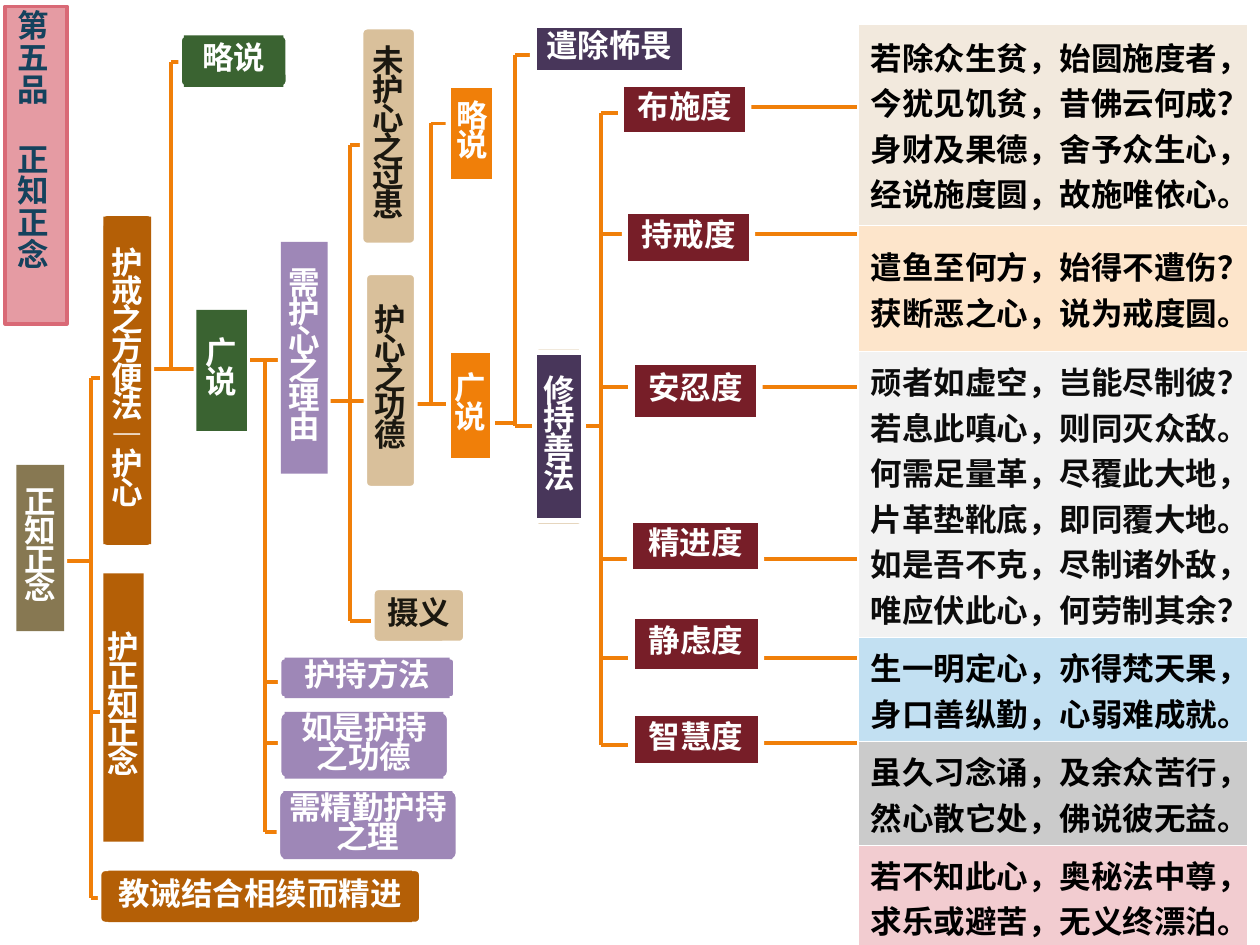
from dataclasses import dataclass
from lxml.etree import SubElement
from pptx import Presentation
from pptx.dml.color import RGBColor
from pptx.enum.shapes import MSO_CONNECTOR, MSO_SHAPE
from pptx.enum.text import MSO_ANCHOR, MSO_AUTO_SIZE, PP_ALIGN
from pptx.oxml.ns import qn
from pptx.util import Inches, Pt


@dataclass(frozen=True)
class Theme:
    font: str = "Noto Sans CJK SC"
    size: int = 18
    white: str = "FFFFFF"
    black: str = "000000"
    ink: str = "1B1810"
    branch: str = "F07F09"
    olive: str = "877852"
    brown: str = "B45F06"
    green: str = "3A6331"
    purple: str = "9E87B7"
    sand: str = "D9C09B"
    orange: str = "F07F09"
    violet: str = "48365A"
    maroon: str = "771E28"
    title_fill: str = "E59BA3"
    title_line: str = "D96976"
    title_ink: str = "14425D"
    branch_width: float = 2.25
    edge_width: float = 2
    frame_width: float = 3
    title_spacing: float = 0.84
    node_spacing: float = 0.76


@dataclass(frozen=True)
class Box:
    left: float
    top: float
    width: float
    height: float

    def inner(self, left, top, width, height):
        return Box(self.left + left, self.top + top, width, height)

    def pad(self, x, y):
        return self.inner(x, y, self.width - 2 * x, self.height - 2 * y)

    def emu(self):
        return [columns(v) for v in (self.left, self.top, self.width, self.height)]


THEME = Theme()
COLUMN = 0.1
FRAMED = (THEME.orange, THEME.violet, THEME.maroon)


def columns(count):
    return Inches(round(count * COLUMN, 3))


def rgb(value):
    return RGBColor.from_string(value)


def style(paragraph, color, spacing=None):
    font = paragraph.font
    font.name, font.size, font.bold = THEME.font, Pt(THEME.size), True
    font.color.rgb = rgb(color)
    latin = paragraph._p.pPr.find(qn("a:defRPr")).find(qn("a:latin"))
    east_asian = latin.makeelement(qn("a:ea"), {"typeface": THEME.font})
    latin.addnext(east_asian)
    if spacing:
        paragraph.line_spacing = spacing


def paint(shape, fill, edge=None, width=0):
    shape.fill.solid()
    shape.fill.fore_color.rgb = rgb(fill)
    if edge:
        shape.line.color.rgb = rgb(edge)
        shape.line.width = Pt(width)
    else:
        shape.line.fill.background()


def line(slide, box, x1, y1, x2, y2):
    ends = (box.left + x1, box.top + y1, box.left + x2, box.top + y2)
    connector = slide.shapes.add_connector(
        MSO_CONNECTOR.STRAIGHT, *[columns(v) for v in ends])
    connector.line.color.rgb = rgb(THEME.branch)
    connector.line.width = Pt(THEME.branch_width)
    SubElement(connector._element.spPr, qn("a:effectLst"))


def bracket(slide, box, spine, tip, levels, stem, stem_level):
    line(slide, box, spine, min(levels), spine, max(levels))
    line(slide, box, stem, stem_level, spine, stem_level)
    for level in levels:
        line(slide, box, spine, level, tip, level)


def node(slide, box, label, color, pad=(0.1, 0.1)):
    framed = color in FRAMED
    plate = slide.shapes.add_shape(MSO_SHAPE.ROUNDED_RECTANGLE, *box.emu())
    plate.adjustments[0] = 0.1
    plate.shadow.inherit = False
    paint(plate, THEME.sand if framed else color, THEME.white, THEME.edge_width)
    if color == THEME.sand:
        face = slide.shapes.add_textbox(*box.pad(*pad).emu())
    else:
        face = slide.shapes.add_shape(MSO_SHAPE.RECTANGLE, *box.pad(*pad).emu())
        face.shadow.inherit = False
        paint(face, color, THEME.white if framed else None, THEME.frame_width)
    frame = face.text_frame
    frame.word_wrap = True
    frame.vertical_anchor = MSO_ANCHOR.MIDDLE
    frame.margin_left = frame.margin_right = Inches(0.01)
    frame.margin_top = frame.margin_bottom = Inches(0.01)
    paragraph = frame.paragraphs[0]
    paragraph.text = label
    paragraph.alignment = PP_ALIGN.CENTER
    style(paragraph, THEME.ink if color == THEME.sand else THEME.white,
          THEME.node_spacing)


def chapter_title(slide, box):
    title = slide.shapes.title
    title.left, title.top, title.width, title.height = box.emu()
    paint(title, THEME.title_fill, THEME.title_line, THEME.edge_width)
    frame = title.text_frame
    frame.text = "第五品\n正知正念"
    frame.word_wrap = True
    frame.auto_size = MSO_AUTO_SIZE.NONE
    frame.vertical_anchor = MSO_ANCHOR.TOP
    for paragraph in frame.paragraphs:
        paragraph.alignment = PP_ALIGN.LEFT
        paragraph.space_before = Pt(0)
        style(paragraph, THEME.title_ink, THEME.title_spacing)
    frame.paragraphs[1].space_before = Pt(21.6)


def virtues(slide, box):
    levels = (9, 18.6, 30.75, 44.4, 52.2, 59.1)
    bracket(slide, box, 2.7, 5.9, levels, 0.2, 33.8)
    leads = ((11.1, 8.5, 40.8), (2.9, 18.6, 35), (2.9, 30.75, 28.8),
             (2.9, 44.4, 35.2), (2.9, 52.2, 25.5), (14.8, 59, 23.8))
    for start, level, end in leads:
        line(slide, box, start, level, end, level)
    labels = (("布施度", 4.2, 6.6, 10.3, 4.2), ("持戒度", 4.5, 16.7, 10.3, 4.3),
              ("安忍度", 5, 28.7, 10.4, 4.7), ("精进度", 4.9, 41.2, 10.6, 4.3),
              ("静虑度", 5, 48.8, 10.5, 4.6), ("智慧度", 5, 56.5, 10.5, 4.4))
    for label, *place in labels:
        node(slide, box.inner(*place), label, THEME.maroon, (0.15, 0.1))


def verses(slide, box):
    stanzas = (
        (16, "F2E9DD", THEME.black, "若除众生贫，始圆施度者，今犹见饥贫，昔佛云何成？"
                                    "身财及果德，舍予众生心，经说施度圆，故施唯依心。"),
        (10, "FDE5CB", THEME.black, "遣鱼至何方，始得不遭伤？获断恶之心，说为戒度圆。"),
        (22, "F2F2F2", "0C0C0C", "顽者如虚空，岂能尽制彼？若息此嗔心，则同灭众敌。"
                                 "何需足量革，尽覆此大地，片革垫靴底，即同覆大地。"
                                 "如是吾不克，尽制诸外敌，唯应伏此心，何劳制其余？"),
        (7, "C2E0F2", THEME.black, "生一明定心，亦得梵天果，身口善纵勤，心弱难成就。"),
        (7, "CBCBCB", THEME.black, "虽久习念诵，及余众苦行，然心散它处，佛说彼无益。"),
        (7, "F2CCD0", THEME.black, "若不知此心，奥秘法中尊，求乐或避苦，无义终漂泊。"),
    )
    table = slide.shapes.add_table(len(stanzas), 1, *box.emu()).table
    table.first_row = table.horz_banding = False
    for index, (height, fill, ink, verse) in enumerate(stanzas):
        table.rows[index].height = columns(height)
        cell = table.cell(index, 0)
        cell.text = verse
        cell.vertical_anchor = MSO_ANCHOR.MIDDLE
        style(cell.text_frame.paragraphs[0], ink)
        properties = cell._tc.get_or_add_tcPr()
        for side in ("a:lnL", "a:lnR", "a:lnT", "a:lnB"):
            border = SubElement(properties, qn(side), w=str(Pt(1)))
            solid = SubElement(border, qn("a:solidFill"))
            SubElement(solid, qn("a:srgbClr"), val=THEME.white)
        cell.fill.solid()
        cell.fill.fore_color.rgb = rgb(fill)


def outline(slide, box):
    brackets = (
        (7.2, 10.6, (30, 56.5, 71.3), 3.2, 44.55),
        (13.6, 16.5, (4.9, 29.3), 10, 29.3),
        (21, 23.9, (28.6, 54.1, 59, 66), 16.8, 28.6),
        (27.8, 31, (11.5, 31.8, 49.3), 24.9, 31.8),
        (34.2, 37.5, (9.8, 32.1), 32.2, 32.1),
        (40.9, 44.9, (4.4, 33.8), 35.6, 33.6),
    )
    for branch in brackets:
        bracket(slide, box, *branch)
    topics = (
        ("护戒之方便法—护心", THEME.brown, (8.1, 17, 4, 26.4), (0.1, 0.2)),
        ("正知正念", THEME.olive, (1.2, 36.8, 4, 13.4), (0.1, 0.1)),
        ("护正知正念", THEME.brown, (8.1, 45.4, 3.4, 21.5), (0.1, 0.1)),
        ("教诫结合相续而精进", THEME.brown, (7.9, 69, 25.5, 4.3), (0.7, 0.1)),
        ("略说", THEME.green, (14.3, 2.8, 8.5, 4.1), (0.3, 0)),
        ("需护心之理由", THEME.purple, (22.2, 19.2, 3.9, 18.4), (0.1, 0)),
        ("护持方法", THEME.purple, (22.2, 52.2, 13.9, 3.2), (0.4, 0)),
        ("广说", THEME.green, (15.5, 24.5, 4.2, 9.8), (0.1, 0.1)),
        ("如是护持之功德", THEME.purple, (22.2, 56.5, 13.4, 5.3), (0.4, 0)),
        ("护心之功德", THEME.sand, (29, 21.7, 4, 17), (0.1, 0.5)),
        ("略说", THEME.orange, (35.5, 6.6, 3.9, 8), (0.1, 0.2)),
        ("广说", THEME.orange, (35.6, 27.5, 3.5, 9.4), (0, 0.3)),
        ("未护心之过患", THEME.sand, (28.7, 2.2, 4.3, 17.2), (0.1, 0.5)),
        ("需精勤护持之理", THEME.purple, (22.1, 62.7, 14.2, 5.6), (0.4, 0.1)),
        ("摄义", THEME.sand, (29.6, 46.7, 7.3, 4.3), (0.1, 0.1)),
        ("遣除怖畏", THEME.violet, (42.2, 1.9, 12.3, 4), (0.2, 0.1)),
        ("修持善法", THEME.violet, (42.4, 27.6, 3.9, 14.1), (0, 0.4)),
    )
    for label, color, place, pad in topics:
        node(slide, box.inner(*place), label, color, pad)


def build():
    deck = Presentation()
    deck.slide_width, deck.slide_height = columns(100), columns(75)
    slide = deck.slides.add_slide(deck.slide_layouts[5])
    chapter_title(slide, Box(0.4, 0.5, 4.9, 25.2))
    virtues(slide, Box(45, 0, 23, 75))
    verses(slide, Box(68.1, 1.9, 30.9, 69))
    outline(slide, Box(0, 0, 55, 75))
    deck.save("out.pptx")


build()
